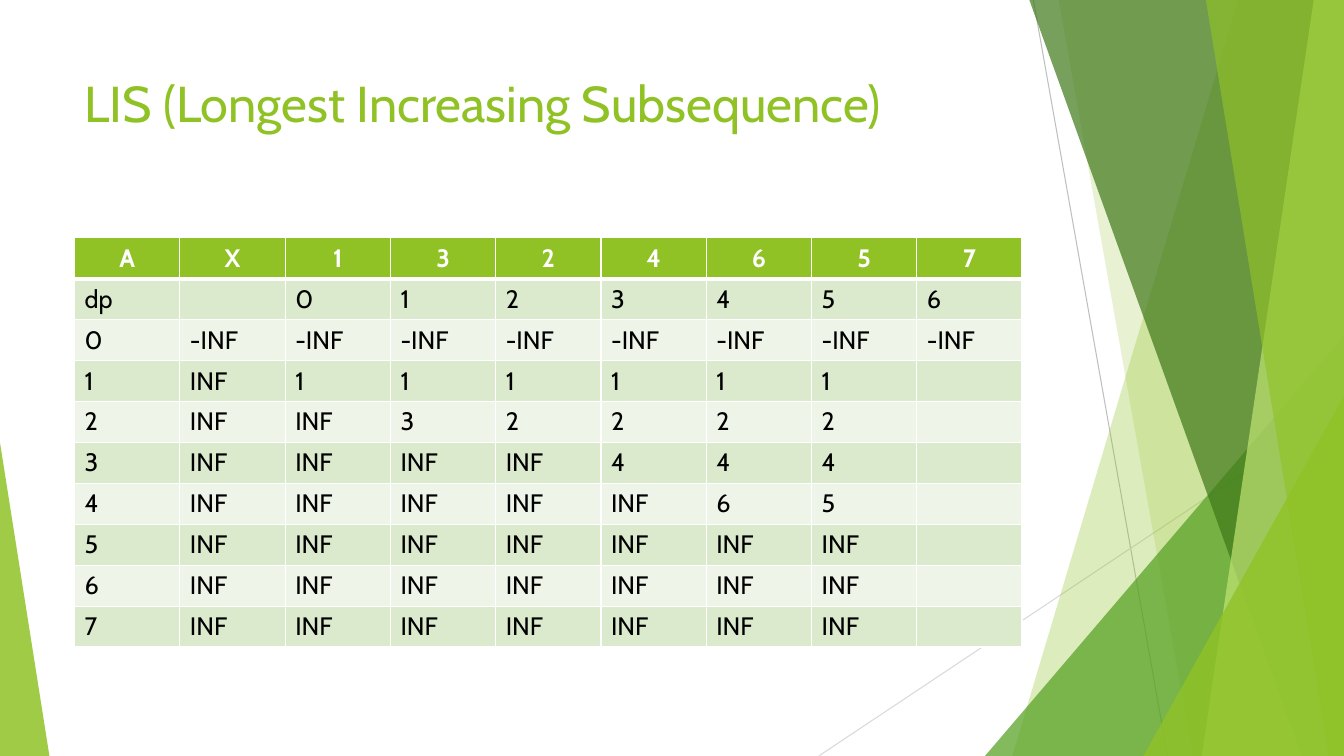
from dataclasses import dataclass

from lxml.etree import SubElement
from pptx import Presentation
from pptx.dml.color import RGBColor as Color
from pptx.enum.shapes import MSO_CONNECTOR as Connector
from pptx.enum.shapes import MSO_SHAPE as Shape
from pptx.enum.text import MSO_ANCHOR as Anchor
from pptx.enum.text import PP_ALIGN as Align
from pptx.oxml.ns import qn
from pptx.util import Inches, Pt


@dataclass(frozen=True)
class Theme:
    font: str = "Cabin"
    title_size: int = 36
    table_size: int = 18
    lime: str = "90C226"
    leaf: str = "54A021"
    forest: str = "3F7819"
    pale: str = "C0E474"
    band_dark: str = "DBE9CD"
    band_light: str = "EEF4E8"
    white: str = "FFFFFF"
    black: str = "000000"
    steep_line: str = "BFBFBF"
    flat_line: str = "D9D9D9"
    line_width: float = 0.75
    border: int = 1
    header_border: int = 3


@dataclass(frozen=True)
class Box:
    left: int
    top: int
    width: int
    height: int

    def x(self, percent):
        return self.left + round(self.width * percent / 100)

    def y(self, percent):
        return self.top + round(self.height * percent / 100)


THEME = Theme()
PAGE = Box(0, 0, Inches(13.33), Inches(7.5))
TITLE_BOX = Box(Inches(0.74), Inches(0.67), Inches(9.4), Inches(1.44))
TABLE_BOX = Box(Inches(0.74), Inches(2.36), Inches(9.4), Inches(4.06))

TITLE = "LIS (Longest Increasing Subsequence)"
LIS_ROWS = [row.split(",") for row in (
    "A,X,1,3,2,4,6,5,7",
    "dp,,0,1,2,3,4,5,6",
    "0,-INF,-INF,-INF,-INF,-INF,-INF,-INF,-INF",
    "1,INF,1,1,1,1,1,1,",
    "2,INF,INF,3,2,2,2,2,",
    "3,INF,INF,INF,INF,4,4,4,",
    "4,INF,INF,INF,INF,INF,6,5,",
    "5,INF,INF,INF,INF,INF,INF,INF,",
    "6,INF,INF,INF,INF,INF,INF,INF,",
    "7,INF,INF,INF,INF,INF,INF,INF,",
)]

# Percent of the page: start x, start y, end x, end y
THIN_LINES = [
    (76.89, 0, 86.87, 100, THEME.steep_line),
    (100, 53.73, 60.92, 100, THEME.flat_line),
]
# Back to front. Wedge: left edge at the top and bottom; triangle: width, height
FACETS = [
    ("wedge", 92.12, 75.32, THEME.lime, 30),
    ("wedge", 78.77, 88.75, THEME.lime, 20),
    ("right triangle", 26.71, 55.6, THEME.leaf, 72),
    ("wedge", 76.59, 96.85, THEME.forest, 70),
    ("wedge", 97.75, 89.42, THEME.pale, 70),
    ("wedge", 89.72, 98.87, THEME.lime, 65),
    ("right triangle", 14.93, 47.6, THEME.lime, 80),
    ("left triangle", 3.68, 41.47, THEME.lime, 85),
]


def add_wedge(slide, box, top_edge, bottom_edge):
    builder = slide.shapes.build_freeform(box.x(top_edge), box.y(0))
    builder.add_line_segments([
        (box.x(100), box.y(0)),
        (box.x(100), box.y(100)),
        (box.x(bottom_edge), box.y(100)),
    ])
    return builder.convert_to_shape()


def add_corner_triangle(slide, box, side, width, height):
    left = 100 - width if side == "right" else 0
    triangle = slide.shapes.add_shape(
        Shape.ISOSCELES_TRIANGLE, box.x(left), box.y(100 - height),
        box.x(left + width) - box.x(left), box.y(100) - box.y(100 - height))
    triangle.adjustments[0] = 1 if side == "right" else 0
    return triangle


def add_facets(slide, box):
    # Thin lines
    for start_x, start_y, end_x, end_y, color in THIN_LINES:
        line = slide.shapes.add_connector(
            Connector.STRAIGHT, box.x(start_x), box.y(start_y),
            box.x(end_x), box.y(end_y))
        line.line.color.rgb = Color.from_string(color)
        line.line.width = Pt(THEME.line_width)
        SubElement(line._element.spPr, qn("a:effectLst"))

    # Translucent facets
    for kind, first, second, color, opacity in FACETS:
        if kind == "wedge":
            facet = add_wedge(slide, box, first, second)
        else:
            facet = add_corner_triangle(slide, box, kind.split()[0], first, second)
        facet.shadow.inherit = False
        facet.line.fill.background()
        facet.fill.solid()
        facet.fill.fore_color.rgb = Color.from_string(color)
        color_element = facet._element.spPr.find(qn("a:solidFill"))[0]
        SubElement(color_element, qn("a:alpha"), val=str(opacity * 1000))


def format_run(run, size, color, bold=False):
    run.font.name = THEME.font
    run.font.size = Pt(size)
    run.font.bold = bold
    run.font.color.rgb = Color.from_string(color)


def fill_title(slide, box):
    title = slide.shapes.title
    title.left, title.top, title.width, title.height = (
        box.left, box.top, box.width, box.height)
    frame = title.text_frame
    frame.text = TITLE
    frame.word_wrap = True
    frame.vertical_anchor = Anchor.TOP
    paragraph = frame.paragraphs[0]
    paragraph.alignment = Align.LEFT
    format_run(paragraph.runs[0], THEME.title_size, THEME.lime)


def set_borders(cell, top, bottom):
    properties = cell._tc.get_or_add_tcPr()
    widths = {"lnL": THEME.border, "lnR": THEME.border, "lnT": top, "lnB": bottom}
    for name, width in widths.items():
        border = SubElement(properties, qn(f"a:{name}"), w=str(Pt(width)))
        fill = SubElement(border, qn("a:solidFill"))
        SubElement(fill, qn("a:srgbClr"), val=THEME.white)


def add_lis_table(slide, box):
    row_count, column_count = len(LIS_ROWS), len(LIS_ROWS[0])
    table = slide.shapes.add_table(
        row_count, column_count, box.left, box.top, box.width, box.height).table
    for column in table.columns:
        column.width = box.width // column_count
    for row in table.rows:
        row.height = box.height // row_count

    for row_index, values in enumerate(LIS_ROWS):
        is_header = row_index == 0
        band = THEME.band_dark if row_index % 2 else THEME.band_light
        for column_index, value in enumerate(values):
            cell = table.cell(row_index, column_index)
            set_borders(
                cell,
                top=THEME.header_border if row_index == 1 else THEME.border,
                bottom=THEME.header_border if is_header else THEME.border)
            cell.fill.solid()
            cell.fill.fore_color.rgb = Color.from_string(
                THEME.lime if is_header else band)
            cell.text_frame.text = value
            paragraph = cell.text_frame.paragraphs[0]
            paragraph.alignment = Align.CENTER if is_header else Align.LEFT
            for run in paragraph.runs:
                format_run(run, THEME.table_size,
                           THEME.white if is_header else THEME.black, is_header)


def main():
    presentation = Presentation()
    presentation.slide_width, presentation.slide_height = PAGE.width, PAGE.height
    slide = presentation.slides.add_slide(presentation.slide_layouts[5])
    add_facets(slide, PAGE)
    fill_title(slide, TITLE_BOX)
    add_lis_table(slide, TABLE_BOX)
    presentation.save("out.pptx")


if __name__ == "__main__":
    main()
